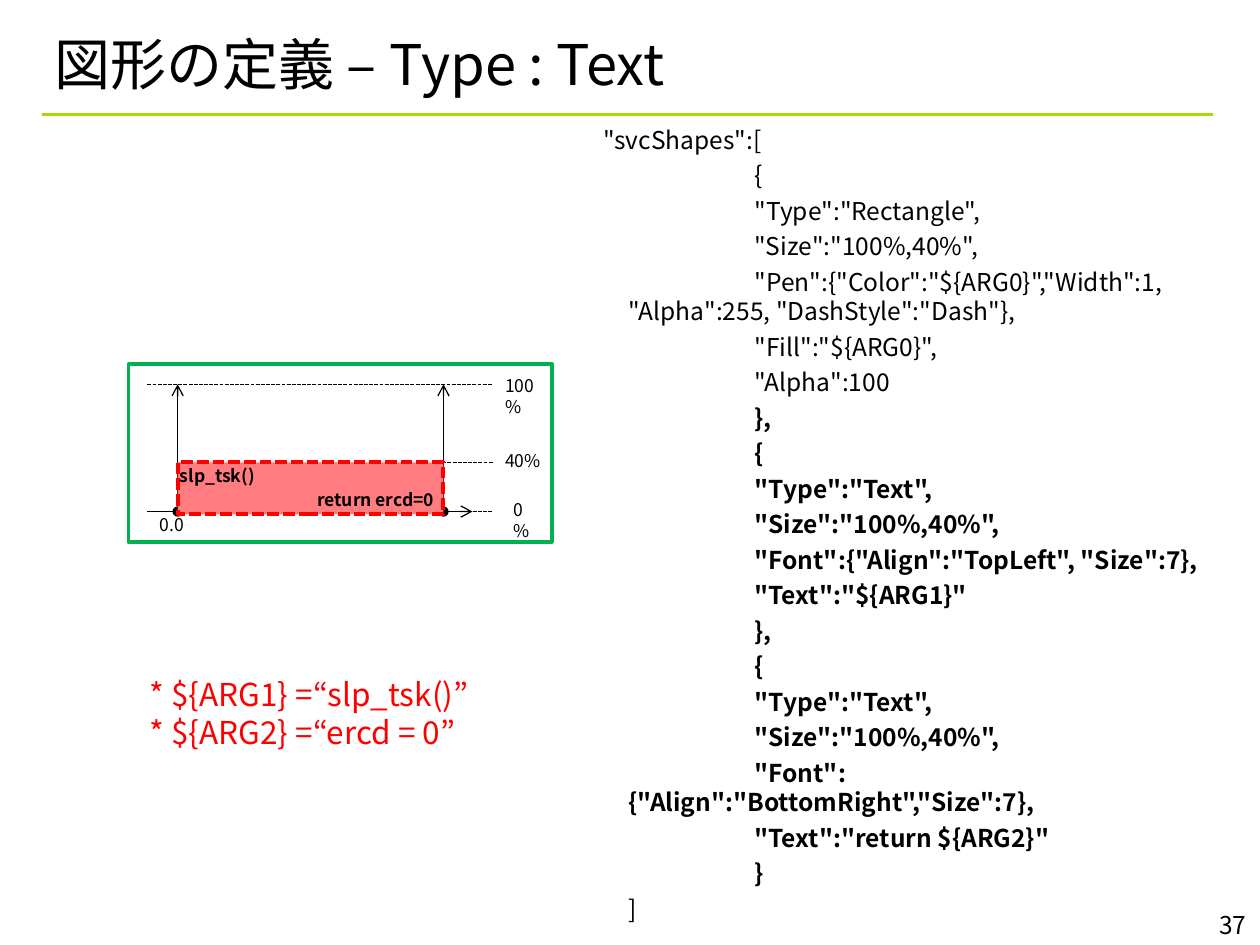
from dataclasses import dataclass

import pptx
import pptx.dml.color
import pptx.enum.dml
import pptx.enum.shapes
import pptx.enum.text
import pptx.oxml
import pptx.oxml.ns
import pptx.util
from pptx.util import Inches

FONT = "Noto Sans CJK JP"
COLORS = {
    "text": "000000",
    "rule": "A4DE00",
    "frame": "00B050",
    "accent": "FF0000",
    "bar": "FF7C80",
}
DASHED = pptx.enum.dml.MSO_LINE.SQUARE_DOT
ALIGN = pptx.enum.text.PP_ALIGN

# Axis positions of the diagram, in inches
AXIS_LEFT, AXIS_RIGHT = 1.17, 3.91
BAR_LEFT, BAR_RIGHT = 1.41, 3.52
LEVEL_0, LEVEL_40, LEVEL_100 = 4.06, 3.67, 3.05


@dataclass
class Line:
    start: tuple[float, float]
    end: tuple[float, float]
    color: str = "text"
    width: float = 0.75
    dashed: bool = False
    head: str = ""
    tail: str = ""


@dataclass
class Label:
    text: str
    left: float
    top: float
    width: float = 0.55
    height: float = 0.27
    bold: bool = False


@dataclass
class Box:
    left: float
    top: float
    width: float
    height: float
    line: str
    fill: str = ""
    dashed: bool = False


GUIDES = [
    Line((AXIS_LEFT, LEVEL_100), (AXIS_RIGHT, LEVEL_100), dashed=True),
    Line((AXIS_RIGHT, LEVEL_40), (BAR_RIGHT, LEVEL_40), dashed=True),
    Line((AXIS_LEFT, LEVEL_0), (3.75, LEVEL_0), tail="arrow"),
    Line((3.59, LEVEL_0), (AXIS_RIGHT, LEVEL_0), dashed=True),
] + [
    Line((x, LEVEL_0), (x, LEVEL_100), head="oval", tail="arrow")
    for x in (BAR_LEFT, BAR_RIGHT)
]
BOXES = [
    Box(BAR_LEFT, LEVEL_40, BAR_RIGHT - BAR_LEFT, 0.41, "accent", "bar", True),
    Box(1.02, 2.89, 3.36, 1.41, "frame"),
]
LABELS = [
    Label("100%", AXIS_RIGHT, 2.93, height=0.44),
    Label("40%", AXIS_RIGHT, 3.52),
    Label("0%", 3.98, 3.91, 0.39, 0.44),
    Label("0.0", AXIS_LEFT, 4.03),
    Label("slp_tsk()", 1.33, 3.64, 1.25, bold=True),
    Label("return ercd=0", 2.42, 3.83, 1.25, bold=True),
]
RECTANGLE_CODE = [
    "{",
    '"Type":"Rectangle",',
    '"Size":"100%,40%",',
    '"Pen":{"Color":"${ARG0}","Width":1, \t"Alpha":255, "DashStyle":"Dash"},',
    '"Fill":"${ARG0}",',
    '"Alpha":100',
]
TEXT_CODE = [
    "},",
    "{",
    '"Type":"Text",',
    '"Size":"100%,40%",',
    '"Font":{"Align":"TopLeft", "Size":7},',
    '"Text":"${ARG1}"',
    "},",
    "{",
    '"Type":"Text",',
    '"Size":"100%,40%",',
    '"Font":{"Align":"BottomRight","Size":7},',
    '"Text":"return ${ARG2}"',
    "}",
]
CODE = (
    [('"svcShapes":[', False)]
    + [("\t\t" + text, False) for text in RECTANGLE_CODE]
    + [("\t\t" + text, True) for text in TEXT_CODE]
    + [("\t]", False)]
)


def rgb(name: str) -> pptx.dml.color.RGBColor:
    return pptx.dml.color.RGBColor.from_string(COLORS[name])


def add_element(parent, tag: str, **attributes: str):
    element = parent.makeelement(pptx.oxml.ns.qn(tag), attributes)
    parent.append(element)
    return element


def add_run(paragraph, text: str, size: float, color: str = "text", bold: bool = False) -> None:
    run = paragraph.add_run()
    run.text = text
    run.font.size = pptx.util.Pt(size)
    run.font.bold = bold
    run.font.color.rgb = rgb(color)
    run.font.name = FONT
    add_element(run.font._element, "a:ea", typeface=FONT)


def add_text(slide, left: float, top: float, width: float, height: float,
             lines: list[tuple[str, bool]], size: float, color: str = "text",
             align=ALIGN.LEFT, code: bool = False) -> None:
    frame = slide.shapes.add_textbox(
        Inches(left), Inches(top), Inches(width), Inches(height)).text_frame
    frame.word_wrap = True
    for index, (text, bold) in enumerate(lines):
        paragraph = frame.paragraphs[0] if index == 0 else frame.add_paragraph()
        paragraph.alignment = align
        paragraph.line_spacing = pptx.util.Pt(round(size * 1.2, 1))
        if code:
            paragraph.space_before = pptx.util.Pt(3.5 if index else 0)
            properties = paragraph._p.get_or_add_pPr()
            properties.set("marL", str(Inches(0.2)))
            properties.set("indent", str(Inches(-0.2)))
            properties.set("defTabSz", str(Inches(1)))
            tabs = add_element(properties, "a:tabLst")
            for stop in range(8):
                add_element(tabs, "a:tab", pos=str(Inches(stop)), algn="l")
        add_run(paragraph, text, size, color, bold)


def add_line(slide, line: Line) -> None:
    connector = slide.shapes.add_connector(
        pptx.enum.shapes.MSO_CONNECTOR.STRAIGHT,
        *(Inches(value) for value in line.start + line.end))
    connector.line.color.rgb = rgb(line.color)
    connector.line.width = pptx.util.Pt(line.width)
    if line.dashed:
        connector.line.dash_style = DASHED
    properties = connector._element.spPr
    outline = properties.find(pptx.oxml.ns.qn("a:ln"))
    for tag, kind in (("a:headEnd", line.head), ("a:tailEnd", line.tail)):
        if kind:
            add_element(outline, tag, type=kind)
    add_element(properties, "a:effectLst")


def add_box(slide, box: Box) -> None:
    shape = slide.shapes.add_shape(
        pptx.enum.shapes.MSO_SHAPE.RECTANGLE,
        Inches(box.left), Inches(box.top), Inches(box.width), Inches(box.height))
    shape.shadow.inherit = False
    if box.fill:
        shape.fill.solid()
        shape.fill.fore_color.rgb = rgb(box.fill)
    else:
        shape.fill.background()
    shape.line.color.rgb = rgb(box.line)
    shape.line.width = pptx.util.Pt(2.25)
    if box.dashed:
        shape.line.dash_style = DASHED


def main() -> None:
    presentation = pptx.Presentation()
    presentation.slide_width, presentation.slide_height = Inches(10), Inches(7.5)
    slide = presentation.slides.add_slide(presentation.slide_layouts[5])

    # Title, rule and page number
    title = slide.shapes.title
    title.left, title.top = Inches(0.33), Inches(0.25)
    title.width, title.height = Inches(9.25), Inches(0.5)
    title.text_frame.auto_size = pptx.enum.text.MSO_AUTO_SIZE.NONE
    title.text_frame.vertical_anchor = pptx.enum.text.MSO_ANCHOR.MIDDLE
    title.text_frame.paragraphs[0].alignment = ALIGN.LEFT
    add_run(title.text_frame.paragraphs[0], "図形の定義 – Type : Text", 32)
    add_line(slide, Line((0.33, 0.91), (9.63, 0.91), "rule", 1.5))
    add_text(slide, 9.08, 7.17, 0.91, 0.33, [("37", False)], 14, align=ALIGN.RIGHT)

    # Code listing
    add_text(slide, 4.69, 0.94, 5.08, 6.17, CODE, 14, code=True)

    # Diagram
    for guide in GUIDES:
        add_line(slide, guide)
    for box in BOXES:
        add_box(slide, box)
    for label in LABELS:
        add_text(slide, label.left, label.top, label.width, label.height,
                 [(label.text, label.bold)], 10)

    # Argument values
    arguments = [("* ${ARG1} =“slp_tsk()”", False), ("* ${ARG2} =“ercd = 0”", False)]
    add_text(slide, 1.09, 5.31, 3.28, 0.7, arguments, 18, "accent")

    presentation.save("out.pptx")


if __name__ == "__main__":
    main()
